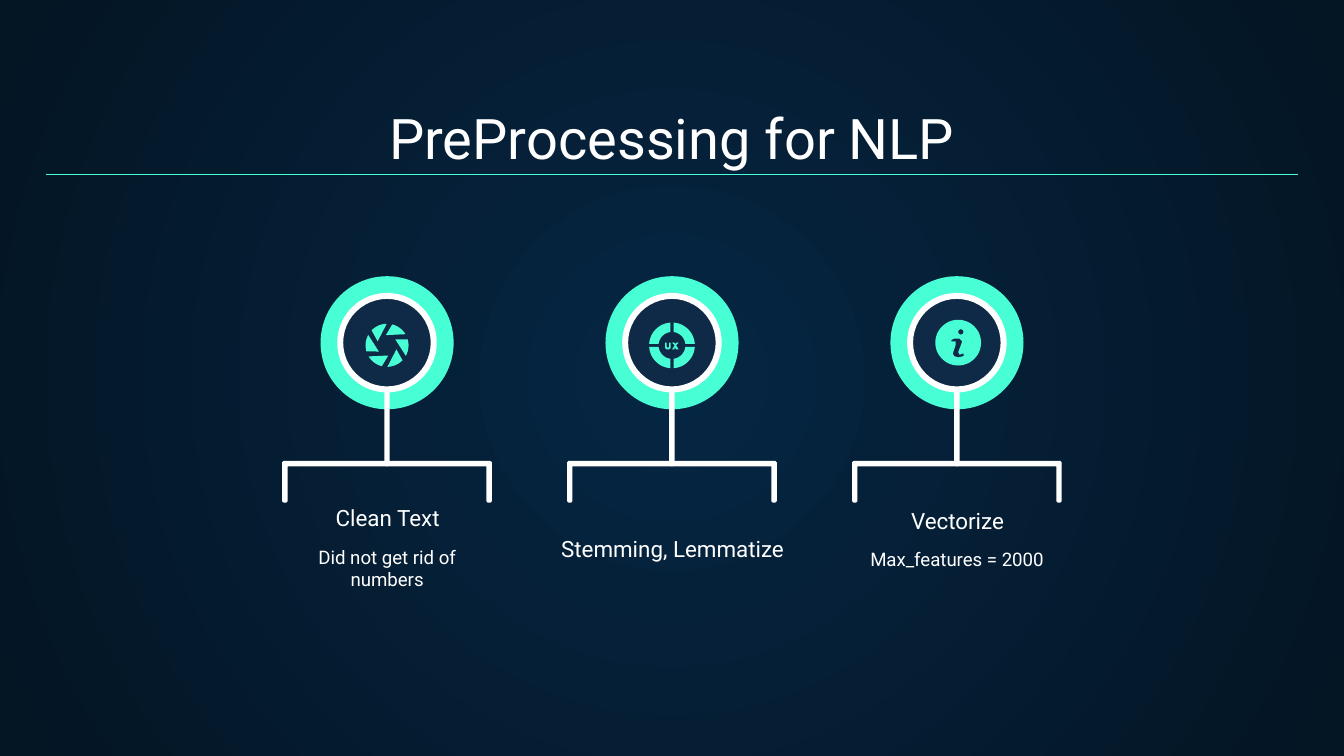
from math import cos, radians, sin

from lxml import etree
from pptx import Presentation
from pptx.dml.color import RGBColor
from pptx.enum.shapes import MSO_CONNECTOR, MSO_SHAPE
from pptx.enum.text import MSO_ANCHOR, PP_ALIGN
from pptx.oxml.ns import qn
from pptx.util import Inches, Pt

STRAIGHT = MSO_CONNECTOR.STRAIGHT
OVAL, DONUT = MSO_SHAPE.OVAL, MSO_SHAPE.DONUT
ROUNDED = MSO_SHAPE.ROUNDED_RECTANGLE
TOP, BOTTOM = MSO_ANCHOR.TOP, MSO_ANCHOR.BOTTOM
CENTER = PP_ALIGN.CENTER

FONT = "Roboto"
WHITE, MINT, NAVY = "FFFFFF", "48FFD5", "0E2A47"
GLOW, EDGE = "052643", "041523"


def rgb(value):
    return RGBColor.from_string(value)


def paint(shape, color):
    shape.shadow.inherit = False
    shape.fill.solid()
    shape.fill.fore_color.rgb = rgb(color)
    shape.line.fill.background()
    return shape


def add_text(slide, text, left, top, width, height, size=12, anchor=TOP, color=WHITE):
    frame = slide.shapes.add_textbox(
        Inches(left), Inches(top), Inches(width), Inches(height)).text_frame
    frame.word_wrap = True
    frame.vertical_anchor = anchor
    frame.margin_left = frame.margin_right = Inches(0.1)
    frame.margin_top = frame.margin_bottom = Inches(0.1)
    paragraph = frame.paragraphs[0]
    paragraph.alignment = CENTER
    run = paragraph.add_run()
    run.text = text
    run.font.name = FONT
    run.font.size = Pt(size)
    run.font.color.rgb = rgb(color)


def add_centered(slide, kind, cx, cy, width, height, color):
    shape = slide.shapes.add_shape(
        kind, Inches(cx - width / 2), Inches(cy - height / 2), Inches(width), Inches(height))
    return paint(shape, color)


def add_outline(slide, cx, cy, contours, color):
    placed = [[(Inches(cx + x), Inches(cy + y)) for x, y in contour] for contour in contours]
    builder = slide.shapes.build_freeform(*placed[0][0])
    builder.add_line_segments(placed[0][1:])
    for contour in placed[1:]:
        builder.move_to(*contour[0])
        builder.add_line_segments(contour[1:])
    paint(builder.convert_to_shape(), color)


def arc(radius, start, end, steps=12):
    angles = [radians(start + (end - start) * i / steps) for i in range(steps + 1)]
    return [(radius * cos(a), -radius * sin(a)) for a in angles]


def rotate(points, degrees):
    c, s = cos(radians(degrees)), sin(radians(degrees))
    return [(x * c + y * s, y * c - x * s) for x, y in points]


def aperture_icon(slide, cx, cy):
    blade = arc(0.16, 91, 136) + [(-0.07, -0.03)]
    for turn in range(0, 360, 60):
        add_outline(slide, cx, cy + 0.02, [rotate(blade, turn)], MINT)


def wheel_icon(slide, cx, cy):
    sector = arc(0.17, 4, 86) + arc(0.1, 83, 7)
    for turn in range(0, 360, 90):
        add_outline(slide, cx, cy + 0.02, [rotate(sector, turn)], MINT)
    letter_u = [(-0.05, -0.02), (-0.04, -0.02), (-0.04, 0.01), (-0.03, 0.02), (-0.02, 0.01),
                (-0.02, -0.02), (-0.01, -0.02), (-0.01, 0.02), (-0.02, 0.03), (-0.04, 0.03),
                (-0.05, 0.02)]
    letter_x = [(0, -0.02), (0.02, -0.02), (0.03, -0.01), (0.03, -0.02), (0.05, -0.02),
                (0.03, 0), (0.05, 0.03), (0.03, 0.03), (0.02, 0.01), (0.02, 0.03), (0, 0.03),
                (0.02, 0)]
    for letter in (letter_u, letter_x):
        add_outline(slide, cx, cy + 0.02, [letter], MINT)


def info_icon(slide, cx, cy):
    disc = arc(0.17, 0, 360, 48)
    dot = [(x + 0.02, y - 0.08) for x, y in arc(0.02, 0, 360)]
    stem = [(-0.05, -0.02), (-0.03, -0.03), (0.01, -0.03), (0.03, -0.01), (0.02, 0.02),
            (0, 0.07), (0.01, 0.09), (0.04, 0.08), (0.04, 0.1), (0, 0.11), (-0.03, 0.1),
            (-0.04, 0.08), (-0.02, 0.02), (-0.02, -0.01), (-0.05, -0.01)]
    add_outline(slide, cx + 0.01, cy, [disc, dot, stem], MINT)


def add_bracket(slide, cx, top):
    half, height, thick, bevel = 0.78, 0.31, 0.04, 0.01
    right = [(half - bevel, 0), (half, bevel), (half, height - bevel),
             (half - bevel, height), (half - thick + bevel, height),
             (half - thick, height - bevel), (half - thick, thick)]
    left = [(-x, y) for x, y in reversed(right)]
    add_outline(slide, cx, top, [right + left], WHITE)


def add_step(slide, cx, cy, icon, heading, heading_bottom, detail=None, detail_top=None):
    add_bracket(slide, cx, cy + 0.88)
    add_centered(slide, OVAL, cx, cy, 0.99, 0.99, MINT)
    stem = add_centered(slide, ROUNDED, cx, cy + 0.42, 0.04, 1, WHITE)
    stem.adjustments[0] = 0.5
    add_centered(slide, OVAL, cx, cy, 0.7, 0.7, NAVY)
    ring = add_centered(slide, DONUT, cx, cy, 0.74, 0.74, WHITE)
    ring.adjustments[0] = 0.06
    icon(slide, cx, cy)
    add_text(slide, heading, cx - 1.13, cy + heading_bottom - 0.21, 2.27, 0.21, anchor=BOTTOM)
    if detail:
        add_text(slide, detail, cx - 0.76, cy + detail_top, 1.52, 0.55, size=10)


def add_title(slide, text, left, top, width, height):
    add_text(slide, text, left, top, width, height, size=30, anchor=BOTTOM)
    rule_y = Inches(top + 0.59)
    rule = slide.shapes.add_connector(
        STRAIGHT, Inches(left), rule_y, Inches(left + width), rule_y)
    rule.line.color.rgb = rgb(MINT)
    rule.line.width = Pt(0.75)
    etree.SubElement(rule._element.spPr, qn("a:effectLst"))


def set_background(slide):
    fill = slide.background.fill
    fill.gradient()
    for stop, position, color in zip(fill.gradient_stops, (0, 1), (GLOW, EDGE)):
        stop.position = position
        stop.color.rgb = rgb(color)
    gradient = slide.element.find(".//" + qn("a:gradFill"))
    gradient.remove(gradient.find(qn("a:lin")))
    circle = etree.SubElement(gradient, qn("a:path"), {"path": "circle"})
    etree.SubElement(circle, qn("a:fillToRect"), dict.fromkeys("ltrb", "50000"))


def main():
    deck = Presentation()
    deck.slide_width = Inches(10)
    deck.slide_height = deck.slide_width * 9 // 16
    slide = deck.slides.add_slide(deck.slide_layouts[6])
    set_background(slide)
    add_title(slide, "PreProcessing for NLP", 0.34, 0.71, 9.32, 0.66)
    steps = [
        (aperture_icon, "Clean Text", 1.5, "Did not get rid of numbers", 1.41),
        (wheel_icon, "Stemming, Lemmatize", 1.73),
        (info_icon, "Vectorize", 1.52, "Max_features = 2000", 1.44),
    ]
    for index, step in enumerate(steps):
        add_step(slide, 2.88 + 2.12 * index, 2.55, *step)
    deck.save("out.pptx")


if __name__ == "__main__":
    main()
